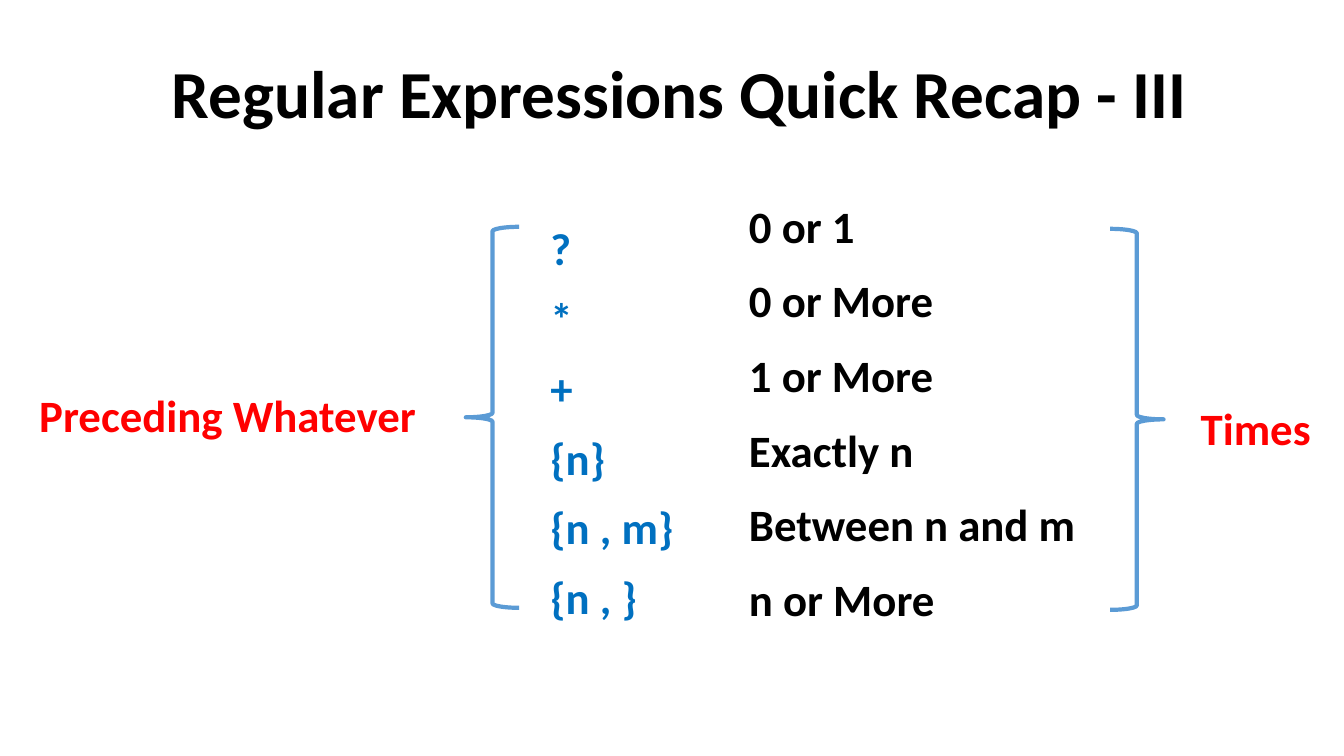
from pptx import Presentation
from pptx.dml.color import RGBColor
from pptx.enum.shapes import MSO_SHAPE
from pptx.enum.text import MSO_ANCHOR, PP_ALIGN
from pptx.util import Inches, Pt

LEFT_BRACE = MSO_SHAPE.LEFT_BRACE
TOP = MSO_ANCHOR.TOP
LEFT, CENTER = PP_ALIGN.LEFT, PP_ALIGN.CENTER

# Content
TITLE = "Regular Expressions Quick Recap - III"
QUANTIFIERS = [
    ("?", "0 or 1"),
    ("*", "0 or More"),
    ("+", "1 or More"),
    ("{n}", "Exactly n"),
    ("{n , m}", "Between n and m"),
    ("{n , }", "n or More"),
]
SIDE_LABELS = [  # text, box
    ("Preceding Whatever", (0.29, 3.8, 4.42, 0.67)),
    ("Times", (11.81, 3.93, 1.47, 0.67)),
]
BRACES = [  # box, rotation
    ((4.62, 2.25, 0.53, 3.78), 0),
    ((11.01, 2.27, 0.53, 3.78), 180),
]

# Layout in inches
TITLE_BOX = (0.92, 0.46, 11.64, 0.95)
SYMBOL_BOX = (5.36, 1.98, 1.89, 4.26)
MEANING_LEFT, MEANING_TOP, MEANING_PITCH = 7.33, 1.92, 0.74
MEANING_SIZE = (3.78, 0.67)


class Theme:
    font = "Calibri"
    title_size, body_size = Pt(48), Pt(32)
    black = RGBColor(0x00, 0x00, 0x00)
    blue = RGBColor(0x00, 0x70, 0xC0)
    red = RGBColor(0xFF, 0x00, 0x00)
    brace = RGBColor(0x5B, 0x9B, 0xD5)
    brace_width = Pt(3)
    symbol_spacing = 1.3


def inches(box):
    return [Inches(value) for value in box]


def write(shape, lines, color, size=Theme.body_size, align=LEFT, spacing=1.0):
    frame = shape.text_frame
    frame.word_wrap = True
    frame.vertical_anchor = TOP
    frame.text = "\n".join(lines)
    font_format = {"name": Theme.font, "size": size, "bold": True}
    for paragraph in frame.paragraphs:
        paragraph.alignment = align
        paragraph.line_spacing = spacing
        font = paragraph.runs[0].font
        for name, value in font_format.items():
            setattr(font, name, value)
        font.color.rgb = color


def add_text(slide, box, lines, color, **options):
    write(slide.shapes.add_textbox(*inches(box)), lines, color, **options)


def add_brace(slide, box, rotation):
    brace = slide.shapes.add_shape(LEFT_BRACE, *inches(box))
    brace.rotation = rotation
    brace.shadow.inherit = False
    brace.fill.background()
    brace.line.color.rgb = Theme.brace
    brace.line.width = Theme.brace_width


def main():
    presentation = Presentation()
    presentation.slide_width = Inches(13.33)
    presentation.slide_height = Inches(7.5)
    slide = presentation.slides.add_slide(presentation.slide_layouts[5])

    # Title
    title = slide.shapes.title
    title.left, title.top, title.width, title.height = inches(TITLE_BOX)
    write(title, [TITLE], Theme.black, size=Theme.title_size, align=CENTER)

    # Quantifier symbols and their meanings
    symbols = [symbol for symbol, _ in QUANTIFIERS]
    add_text(slide, SYMBOL_BOX, symbols, Theme.blue,
             spacing=Theme.symbol_spacing)
    for row, (_, meaning) in enumerate(QUANTIFIERS):
        top = MEANING_TOP + row * MEANING_PITCH
        add_text(slide, (MEANING_LEFT, top, *MEANING_SIZE), [meaning],
                 Theme.black)

    # Side labels and braces
    for label, box in SIDE_LABELS:
        add_text(slide, box, [label], Theme.red)
    for box, rotation in BRACES:
        add_brace(slide, box, rotation)

    presentation.save("out.pptx")


if __name__ == "__main__":
    main()
